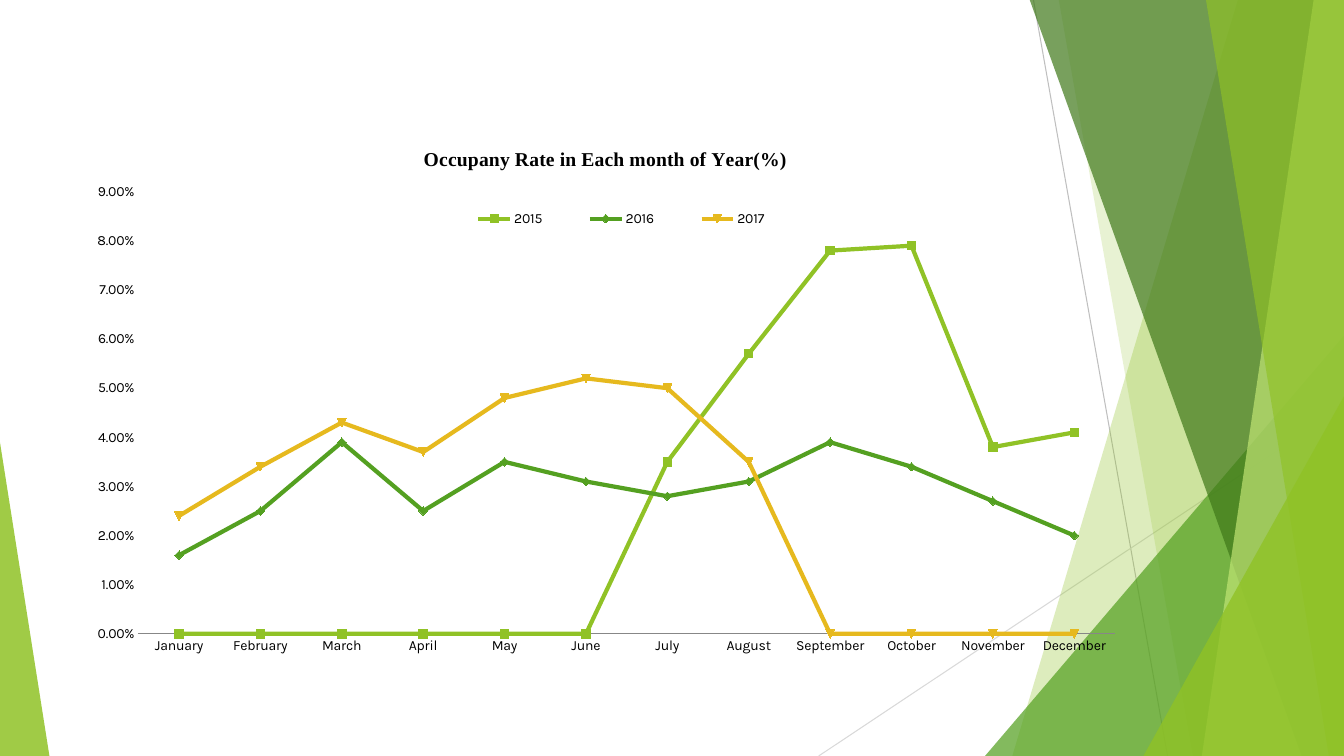
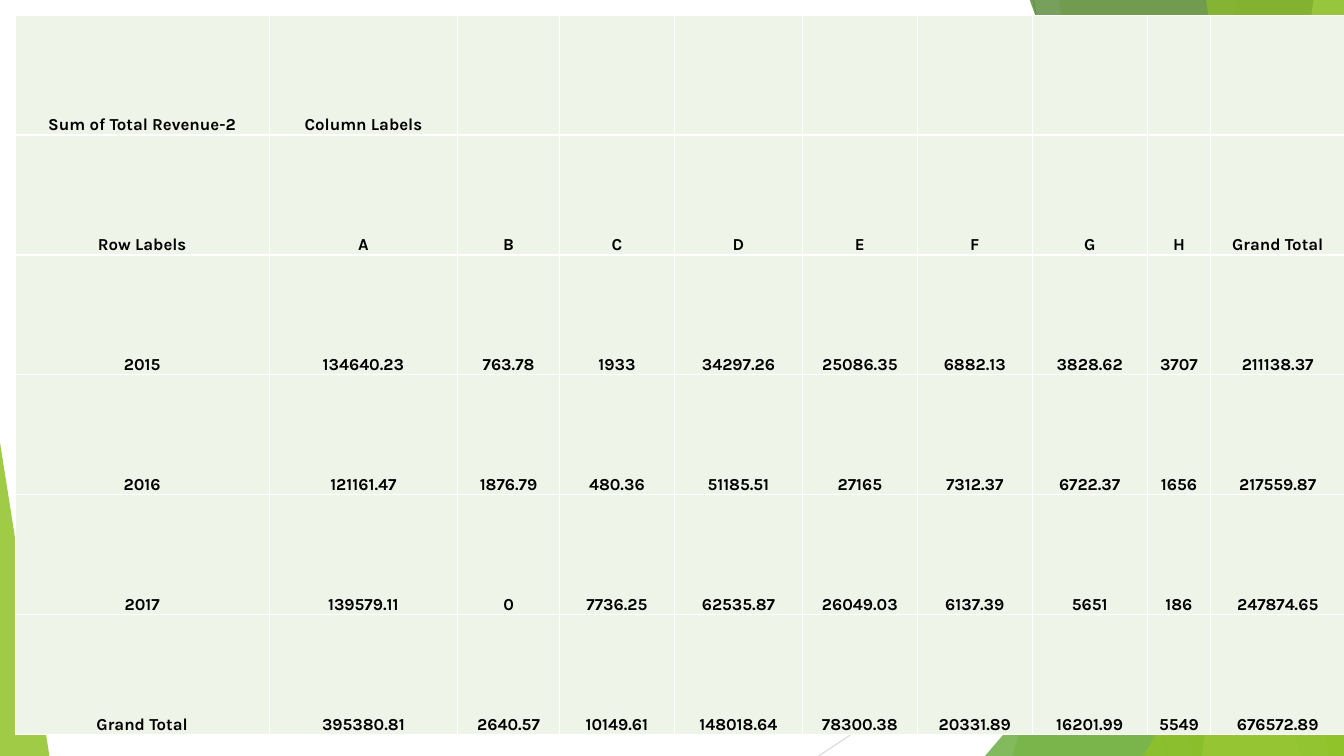
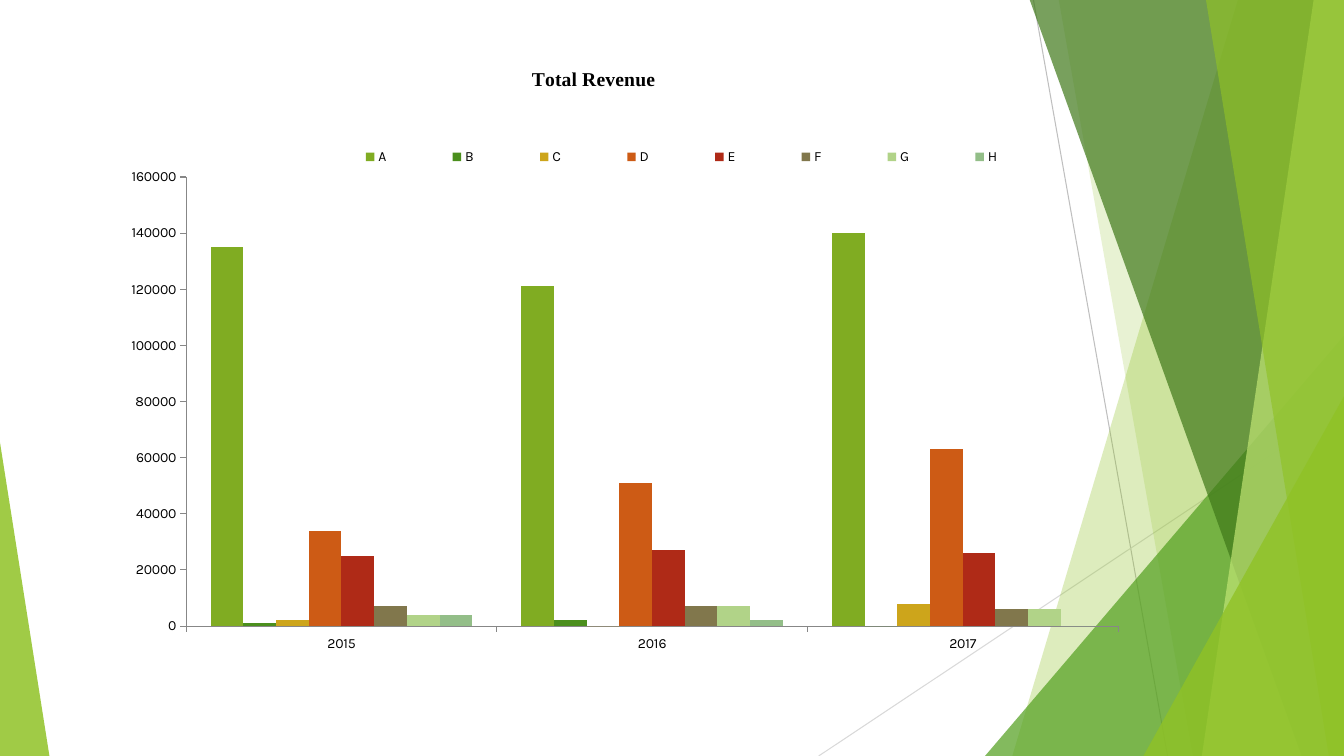
from lxml import etree
from pptx import Presentation
from pptx.chart.data import CategoryChartData
from pptx.dml.color import RGBColor
from pptx.enum.chart import XL_CHART_TYPE as ChartType
from pptx.enum.chart import XL_LEGEND_POSITION as LegendPosition
from pptx.enum.chart import XL_TICK_MARK as Tick
from pptx.enum.shapes import MSO_CONNECTOR as Connector
from pptx.enum.shapes import MSO_SHAPE as Shape
from pptx.enum.text import MSO_ANCHOR as Anchor
from pptx.enum.text import PP_ALIGN as Align
from pptx.oxml.ns import qn
from pptx.util import Inches, Pt

WIDTH, HEIGHT = 13.33, 7.5
LIME, GREEN, GOLD = "90C226", "54A021", "E6B91E"
BLACK, WHITE, AXIS_GREY, CELL_TINT = "000000", "FFFFFF", "878787", "EEF4E8"
BODY_FONT, TITLE_FONT = "Karla", "Times New Roman"

MONTHS = ["January", "February", "March", "April", "May", "June", "July",
          "August", "September", "October", "November", "December"]
OCCUPANCY = {
    "2015": [0, 0, 0, 0, 0, 0, 0.035, 0.057, 0.078, 0.079, 0.038, 0.041],
    "2016": [0.016, 0.025, 0.039, 0.025, 0.035, 0.031,
             0.028, 0.031, 0.039, 0.034, 0.027, 0.02],
    "2017": [0.024, 0.034, 0.043, 0.037, 0.048, 0.052,
             0.05, 0.035, 0, 0, 0, 0],
}
ROOM_TYPES = list("ABCDEFGH")
REVENUE = {
    "2015": ["134640.23", "763.78", "1933", "34297.26", "25086.35",
             "6882.13", "3828.62", "3707", "211138.37"],
    "2016": ["121161.47", "1876.79", "480.36", "51185.51", "27165",
             "7312.37", "6722.37", "1656", "217559.87"],
    "2017": ["139579.11", "0", "7736.25", "62535.87", "26049.03",
             "6137.39", "5651", "186", "247874.65"],
    "Grand Total": ["395380.81", "2640.57", "10149.61", "148018.64", "78300.38",
                    "20331.89", "16201.99", "5549", "676572.89"],
}
YEARS = list(OCCUPANCY)
REVENUE_COLORS = ["80AC22", "4B8F1D", "CDA51B", "CD5B15",
                  "AF2A17", "81774C", "B1D388", "93BE88"]


def rgb(color):
    return RGBColor.from_string(color)


def set_layout(parent, index, inner=False, **fractions):
    """Place a chart part by x, y, w and h as fractions of the chart."""
    old = parent.find(qn("c:layout"))
    if old is not None:
        parent.remove(old)
    layout = etree.Element(qn("c:layout"))
    manual = etree.SubElement(layout, qn("c:manualLayout"))
    settings = {"layoutTarget": "inner"} if inner else {}
    settings.update({"xMode": "edge", "yMode": "edge"})
    settings.update(fractions)
    for tag, value in settings.items():
        etree.SubElement(manual, qn(f"c:{tag}")).set("val", str(value))
    parent.insert(index, layout)


class Deck:
    """Shared style, the presentation and its current slide."""

    def __init__(self):
        self.prs = Presentation()
        self.prs.slide_width, self.prs.slide_height = Inches(WIDTH), Inches(HEIGHT)
        self.layout = self.prs.slide_layouts[6]
        self.new_slide()
        self.add_backdrop()

    def new_slide(self):
        self.slide = self.prs.slides.add_slide(self.layout)

    def add_backdrop(self):
        """Draw the facets once and hand them to the shared layout."""
        group = self.slide.shapes.add_group_shape()
        self.facets = group.shapes
        self.hairline(10.25, 0, 11.58, HEIGHT, "BFBFBF")
        self.hairline(WIDTH, 4.03, 8.12, HEIGHT, "D9D9D9")
        self.band(12.28, 10.04, LIME, 30)
        self.band(10.5, 11.83, LIME, 20)
        self.corner(9.77, 3.33, 3.56, 1, GREEN, 72)
        self.band(10.21, 12.91, "3F7819", 70)
        self.band(13.03, 11.92, "C0E474", 70)
        self.band(11.96, 13.18, LIME, 65)
        self.corner(11.34, 3.93, 1.99, 1, LIME, 80)
        self.corner(0, 4.39, 0.49, 0, LIME, 85)
        self.layout.shapes.element.append(group.element)

    def hairline(self, x1, y1, x2, y2, color):
        line = self.facets.add_connector(
            Connector.STRAIGHT, Inches(x1), Inches(y1), Inches(x2), Inches(y2))
        line.line.color.rgb = rgb(color)
        line.line.width = Pt(0.75)
        etree.SubElement(line.element.spPr, qn("a:effectLst"))

    def band(self, top_x, bottom_x, color, opacity):
        """Full-height facet from a slanted left edge to the slide's right edge."""
        top = -0.01
        outline = self.facets.build_freeform(Inches(top_x), Inches(top), scale=1.0)
        outline.add_line_segments(
            [(Inches(x), Inches(y)) for x, y in
             ((WIDTH, top), (WIDTH, HEIGHT), (bottom_x, HEIGHT))])
        self.tint(outline.convert_to_shape(), color, opacity)

    def corner(self, x, y, width, apex, color, opacity):
        """Triangle standing on the slide's bottom edge; apex 0 left, 1 right."""
        triangle = self.facets.add_shape(
            Shape.ISOSCELES_TRIANGLE, Inches(x), Inches(y),
            Inches(width), Inches(HEIGHT - y))
        triangle.adjustments[0] = apex
        self.tint(triangle, color, opacity)

    def tint(self, facet, color, opacity):
        facet.shadow.inherit = False
        facet.fill.solid()
        facet.fill.fore_color.rgb = rgb(color)
        facet.line.fill.background()
        fill_color = facet.element.find(".//" + qn("a:srgbClr"))
        etree.SubElement(fill_color, qn("a:alpha")).set("val", str(opacity * 1000))

    def chart(self, kind, box, title, categories, series, plot, legend):
        data = CategoryChartData()
        data.categories = categories
        for name, values in series.items():
            data.add_series(name, values)
        chart = self.slide.shapes.add_chart(kind, *map(Inches, box), data).chart
        self.style_font(chart.font, 10)
        chart.has_title = True
        heading = chart.chart_title.text_frame
        heading.text = title
        self.style_font(heading.paragraphs[0].runs[0].font, 14, True, TITLE_FONT)
        chart.has_legend = True
        chart.legend.position = LegendPosition.TOP
        chart.legend.include_in_layout = False
        set_layout(chart.legend._element, 1, **legend)
        set_layout(chart.element.find(".//" + qn("c:plotArea")), 0, True, **plot)
        chart.category_axis.format.line.color.rgb = rgb(AXIS_GREY)
        return chart

    def scale(self, chart, maximum, step, number_format, tick):
        axis = chart.value_axis
        axis.minimum_scale, axis.maximum_scale = 0, maximum
        axis.major_unit = step
        axis.has_major_gridlines = False
        axis.tick_labels.number_format = number_format
        axis.tick_labels.number_format_is_linked = False
        axis.major_tick_mark = chart.category_axis.major_tick_mark = tick
        return axis.format.line

    def line_chart(self, *content, colors, **places):
        chart = self.chart(ChartType.LINE_MARKERS, *content, **places)
        self.scale(chart, 0.09, 0.01, "0.00%", Tick.NONE).fill.background()
        for series, color in zip(chart.plots[0].series, colors):
            series.smooth = False
            series.format.line.color.rgb = rgb(color)
            series.format.line.width = Pt(3)
            series.marker.size = 6
            series.marker.format.fill.solid()
            series.marker.format.fill.fore_color.rgb = rgb(color)
            series.marker.format.line.color.rgb = rgb(color)

    def column_chart(self, *content, colors, **places):
        chart = self.chart(ChartType.COLUMN_CLUSTERED, *content, **places)
        axis_line = self.scale(chart, 160000, 20000, "General", Tick.OUTSIDE)
        axis_line.color.rgb = rgb(AXIS_GREY)
        columns = chart.plots[0]
        columns.gap_width, columns.overlap = 150, 0
        columns.vary_by_categories = False
        for series, color in zip(columns.series, colors):
            series.invert_if_negative = False
            series.format.fill.solid()
            series.format.fill.fore_color.rgb = rgb(color)
        return chart

    def table(self, left, top, column_widths, row_height, rows):
        table = self.slide.shapes.add_table(
            len(rows), len(column_widths), Inches(left), Inches(top),
            Inches(sum(column_widths)), Inches(row_height * len(rows))).table
        table.first_row = table.horz_banding = False
        for column, width in zip(table.columns, column_widths):
            column.width = Inches(width)
        for r, row in enumerate(rows):
            for c, text in enumerate(row):
                self.fill_cell(table.cell(r, c), text)

    def fill_cell(self, cell, text):
        cell.text = text
        cell.vertical_anchor = Anchor.BOTTOM
        cell.margin_left = cell.margin_right = cell.margin_top = Inches(0.01)
        cell.margin_bottom = 0
        paragraph = cell.text_frame.paragraphs[0]
        paragraph.alignment = Align.CENTER
        for run in paragraph.runs:
            self.style_font(run.font, 12, True)
        cell.fill.solid()
        cell.fill.fore_color.rgb = rgb(CELL_TINT)
        properties = cell._tc.get_or_add_tcPr()
        for index, side in enumerate("LRTB"):
            border = etree.Element(qn(f"a:ln{side}"), w=str(Pt(1)))
            fill = etree.SubElement(border, qn("a:solidFill"))
            etree.SubElement(fill, qn("a:srgbClr")).set("val", WHITE)
            properties.insert(index, border)

    def style_font(self, font, size, bold=False, name=BODY_FONT):
        font.name, font.size, font.bold = name, Pt(size), bold
        font.color.rgb = rgb(BLACK)


def main():
    deck = Deck()
    deck.line_chart(
        (0.74, 1.26, 10.53, 5.35), "Occupany Rate in Each month of Year(%)",
        MONTHS, OCCUPANCY, colors=[LIME, GREEN, GOLD],
        plot=dict(x=0.06, y=0.12, w=0.92, h=0.82),
        legend=dict(x=0.34, y=0.15, w=0.35, h=0.04))

    deck.new_slide()
    header = ["Sum of Total Revenue-2", "Column Labels"] + [""] * len(ROOM_TYPES)
    labels = ["Row Labels", *ROOM_TYPES, "Grand Total"]
    deck.table(
        0.15, 0.15, [2.52, 1.87, 1.01, 1.14, 1.27, 1.14, 1.14, 1.14, 0.63, 1.33],
        1.19, [header, labels] + [[name, *sums] for name, sums in REVENUE.items()])

    deck.new_slide()
    thousands = {
        room: [round(float(REVENUE[year][i]), -3) for year in YEARS]
        for i, room in enumerate(ROOM_TYPES)}
    revenue_chart = deck.column_chart(
        (0.56, 0.36, 11.7, 6.65), "Total Revenue", YEARS, thousands,
        colors=REVENUE_COLORS, plot=dict(x=0.11, y=0.21, w=0.79, h=0.67),
        legend=dict(x=0.21, y=0.16, w=0.64, h=0.04))
    set_layout(revenue_chart.chart_title._element, 1, x=0.4, y=0.04)

    deck.prs.save("out.pptx")


if __name__ == "__main__":
    main()
